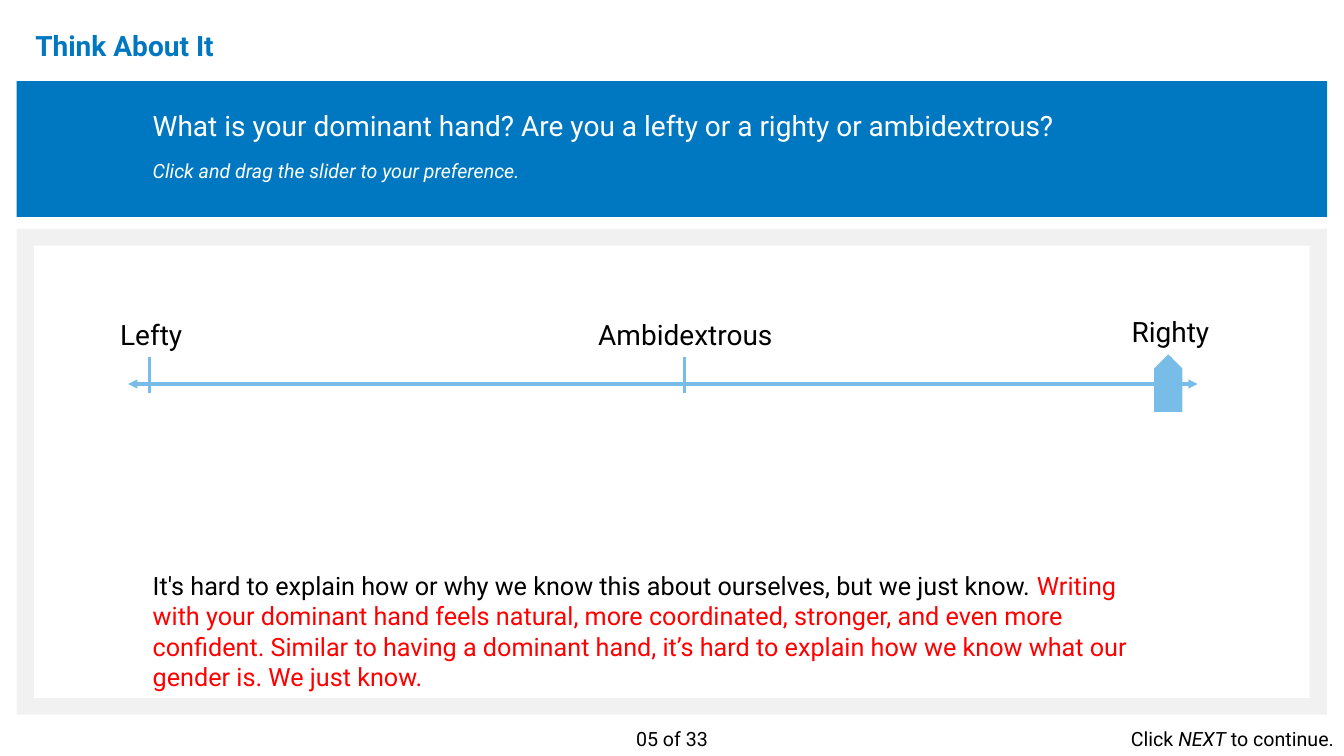
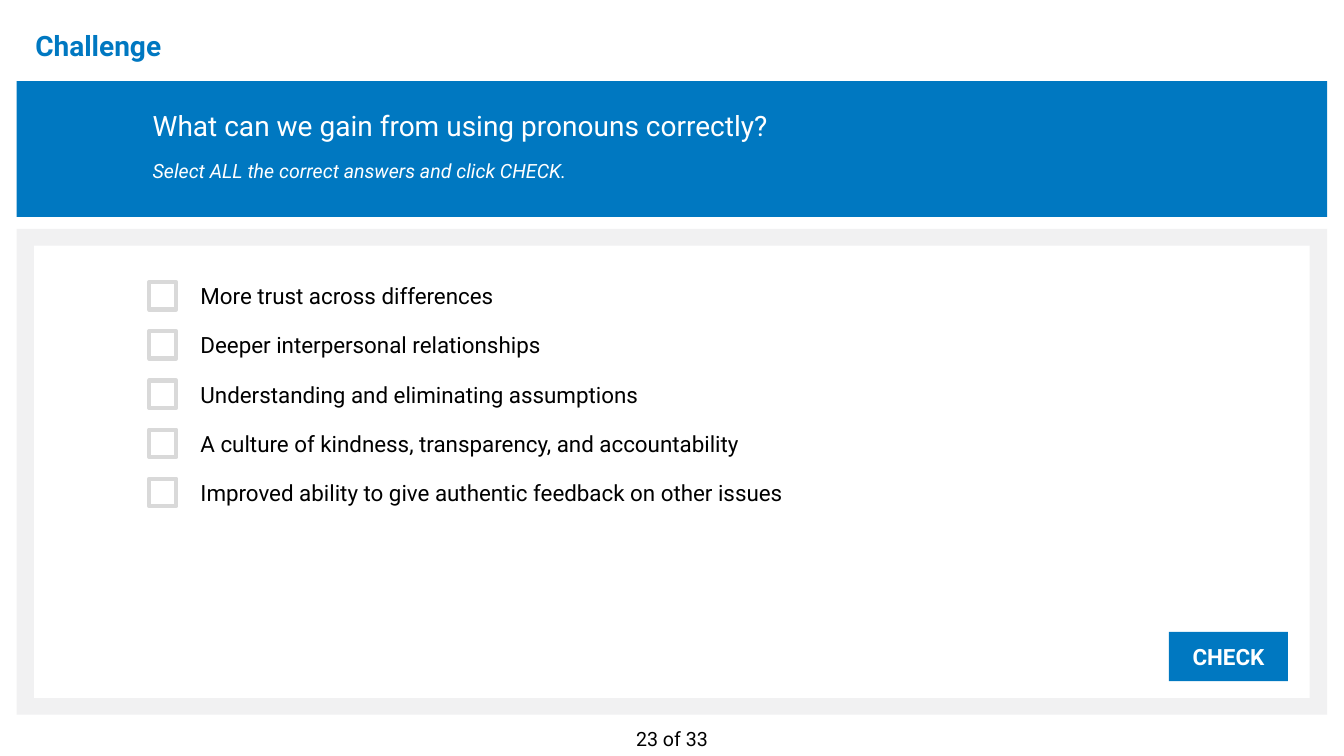
from dataclasses import dataclass

from lxml.etree import SubElement
from pptx import Presentation
from pptx.dml.color import RGBColor
from pptx.enum.shapes import MSO_CONNECTOR, MSO_SHAPE
from pptx.enum.text import MSO_ANCHOR, MSO_AUTO_SIZE, PP_ALIGN
from pptx.oxml.ns import qn
from pptx.util import Pt


@dataclass(frozen=True)
class Theme:
    font: str = "Roboto"
    blue: str = "0078C1"
    sky: str = "78BDE8"
    frame: str = "F1F1F2"
    checkbox: str = "D9D9D9"
    white: str = "FFFFFF"
    black: str = "000000"
    red: str = "FF0000"
    heading: int = 20
    body: int = 18
    answer: int = 16
    small: int = 14


theme = Theme()


def add_box(slide, box, fill=None, line=None, kind=MSO_SHAPE.RECTANGLE):
    """Add a filled shape, or a wrapping text box when no fill is given."""
    left, top, width, height = map(Pt, box)
    if fill is None:
        shape = slide.shapes.add_textbox(left, top, width, height)
        shape.text_frame.word_wrap = True
        return shape
    shape = slide.shapes.add_shape(kind, left, top, width, height)
    shape.shadow.inherit = False
    shape.fill.solid()
    shape.fill.fore_color.rgb = RGBColor.from_string(fill)
    if line:
        shape.line.color.rgb = RGBColor.from_string(line)
        shape.line.width = Pt(3)
    else:
        shape.line.fill.background()
    return shape


def write_text(paragraph, text, size=theme.small, color=theme.black,
               bold=False, italic=False, align=PP_ALIGN.LEFT):
    """Append one formatted run to the paragraph."""
    paragraph.alignment = align
    run = paragraph.add_run()
    run.text = text
    run.font.name = theme.font
    run.font.size = Pt(size)
    run.font.bold = bold
    run.font.italic = italic
    run.font.color.rgb = RGBColor.from_string(color)


presentation = Presentation()
presentation.slide_width = Pt(960)
presentation.slide_height = Pt(540)
content_layout = presentation.slide_layouts[1]
title_layout = presentation.slide_layouts[5]

pages = [
    (title_layout, "Think About It", "05 of 33",
     "What is your dominant hand? Are you a lefty or a righty or ambidextrous?",
     "Click and drag the slider to your preference."),
    (content_layout, "Challenge", "23 of 33",
     "What can we gain from using pronouns correctly?",
     "Select ALL the correct answers and click CHECK."),
]

# Shared frame of every slide
for layout, title_text, page_number, question, instruction in pages:
    slide = presentation.slides.add_slide(layout)
    title = slide.shapes.title
    title.left, title.top, title.width, title.height = Pt(18), Pt(14.5), Pt(828), Pt(39)
    title.text_frame.vertical_anchor = MSO_ANCHOR.MIDDLE
    paragraph = title.text_frame.paragraphs[0]
    paragraph.line_spacing = 0.9
    write_text(paragraph, title_text, size=theme.heading, color=theme.blue, bold=True)

    add_box(slide, (12, 58, 936, 97), theme.blue)
    add_box(slide, (12, 163.5, 936, 347), theme.frame)
    add_box(slide, (24.5, 175.5, 911, 323), theme.white)

    question_frame = add_box(slide, (102, 74, 817, 60.5)).text_frame
    paragraph = question_frame.paragraphs[0]
    paragraph.space_after = Pt(12)
    write_text(paragraph, question, size=theme.heading, color=theme.white)
    write_text(question_frame.add_paragraph(), instruction, color=theme.white, italic=True)

    footer = add_box(slide, (384, 515.5, 192, 24))
    write_text(footer.text_frame.paragraphs[0], page_number, align=PP_ALIGN.CENTER)

slider_slide, challenge_slide = presentation.slides

# Slider scale
tick_top, tick_bottom, axis_y = 255, 281, 274.3
scale_lines = [(91.5, axis_y, 855.5, axis_y)]
scale_lines += [(x, tick_top, x, tick_bottom) for x in (106.6, 489, 836)]
for start_x, start_y, end_x, end_y in scale_lines:
    connector = slider_slide.shapes.add_connector(
        MSO_CONNECTOR.STRAIGHT, Pt(start_x), Pt(start_y), Pt(end_x), Pt(end_y))
    connector.line.color.rgb = RGBColor.from_string(theme.sky)
    connector.line.width = Pt(2.25)
    properties = connector.element.spPr
    if start_y == end_y:
        for arrow_end in ("a:headEnd", "a:tailEnd"):
            SubElement(properties.find(qn("a:ln")), qn(arrow_end), type="triangle")
    SubElement(properties, qn("a:effectLst"))

label_width = 170
for text, center, top in [("Lefty", 108, 223), ("Ambidextrous", 489.6, 223), ("Righty", 836, 221)]:
    label = add_box(slider_slide, (center - label_width / 2, top, label_width, 31.5))
    write_text(label.text_frame.paragraphs[0], text, size=theme.heading, align=PP_ALIGN.CENTER)

handle = add_box(slider_slide, (814, 263.5, 41, 20.3), theme.sky, kind=MSO_SHAPE.PENTAGON)
handle.rotation = 270

explanation = add_box(slider_slide, (102, 404, 722, 94.5)).text_frame.paragraphs[0]
write_text(explanation, "It's hard to explain how or why we know this about ourselves, "
           "but we just know. ", size=theme.body)
write_text(explanation, "Writing with your dominant hand feels natural, more coordinated, "
           "stronger, and even more confident. Similar to having a dominant hand, it’s hard "
           "to explain how we know what our gender is. We just know.",
           size=theme.body, color=theme.red)

prompt = add_box(slider_slide, (768, 515.5, 192, 24)).text_frame.paragraphs[0]
for text, italic in [("Click ", False), ("NEXT", True), (" to continue.", False)]:
    write_text(prompt, text, italic=italic, align=PP_ALIGN.RIGHT)

# Answer list with checkboxes
answers = [
    "More trust across differences",
    "Deeper interpersonal relationships",
    "Understanding and eliminating assumptions",
    "A culture of kindness, transparency, and accountability",
    "Improved ability to give authentic feedback on other issues",
]
answer_list = challenge_slide.placeholders[1]
answer_list.left, answer_list.top = Pt(136), Pt(198)
answer_list.width, answer_list.height = Pt(586), Pt(168.5)
challenge_slide.shapes.element.append(answer_list.element)  # in front of the panel
answer_frame = answer_list.text_frame
answer_frame.auto_size = MSO_AUTO_SIZE.NONE
for index, answer in enumerate(answers):
    paragraph = answer_frame.add_paragraph() if index else answer_frame.paragraphs[0]
    paragraph_properties = paragraph._p.get_or_add_pPr()
    paragraph_properties.set("marL", "0")
    paragraph_properties.set("indent", "0")
    SubElement(paragraph_properties, qn("a:buNone"))
    paragraph.space_before = Pt(10 if index else 0)
    paragraph.space_after = Pt(6)
    write_text(paragraph, answer, size=theme.answer)
    add_box(challenge_slide, (106.5, 201.6 + 35.1 * index, 19.5, 19.5),
            theme.white, line=theme.checkbox)

check_button = add_box(challenge_slide, (835, 451.3, 85, 35.3), theme.blue)
check_button.text_frame.vertical_anchor = MSO_ANCHOR.MIDDLE
write_text(check_button.text_frame.paragraphs[0], "CHECK", size=theme.answer,
           color=theme.white, bold=True, align=PP_ALIGN.CENTER)

presentation.save("out.pptx")
